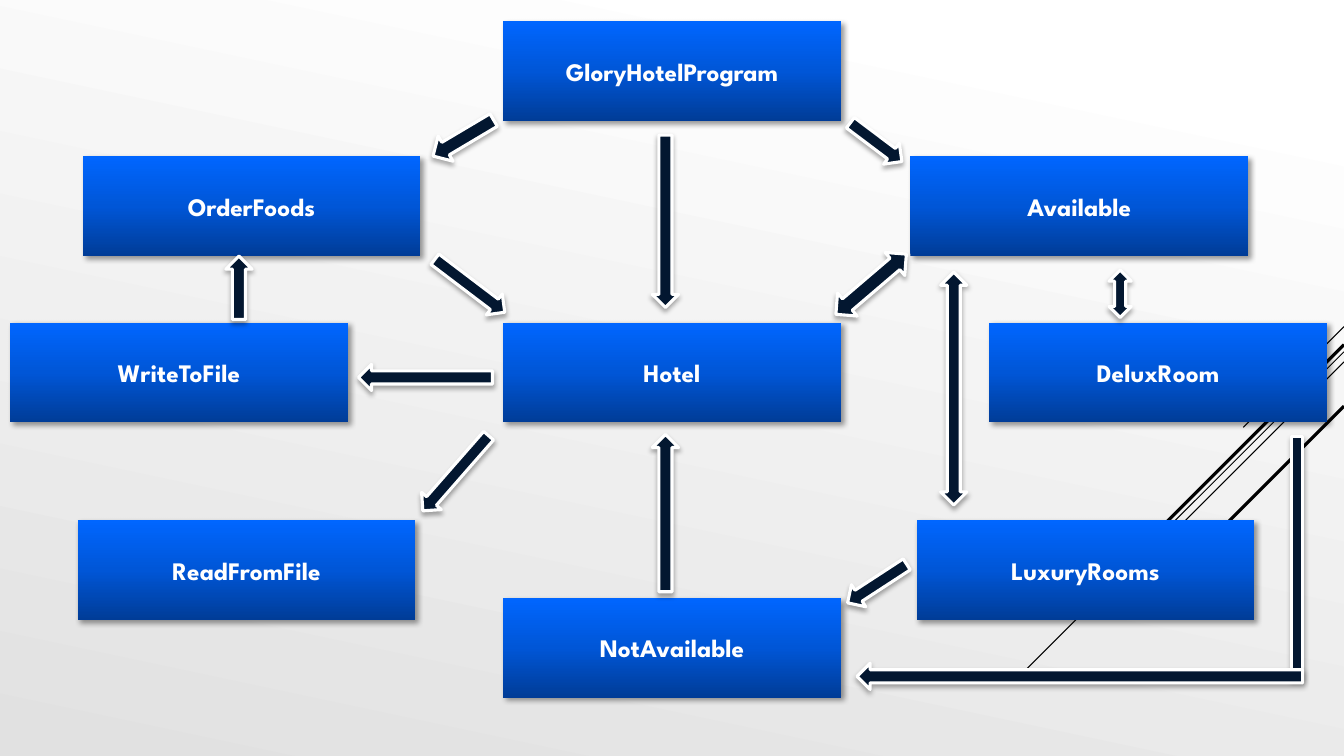
from dataclasses import dataclass

from lxml import etree
from pptx import Presentation
from pptx.dml.color import RGBColor
from pptx.enum.shapes import MSO_CONNECTOR, MSO_SHAPE
from pptx.enum.text import MSO_ANCHOR, PP_ALIGN
from pptx.oxml.ns import qn
from pptx.util import Inches, Pt

RECTANGLE = MSO_SHAPE.RECTANGLE
ONE_WAY = MSO_SHAPE.DOWN_ARROW
TWO_WAY = MSO_SHAPE.UP_DOWN_ARROW
STRAIGHT = MSO_CONNECTOR.STRAIGHT
MIDDLE = MSO_ANCHOR.MIDDLE
CENTER = PP_ALIGN.CENTER

BLACK = RGBColor(0x00, 0x00, 0x00)
WHITE = RGBColor(0xFF, 0xFF, 0xFF)
PALE_GRAY = RGBColor(0xE1, 0xE1, 0xE1)
NAVY = RGBColor(0x03, 0x17, 0x30)
DARK_BLUE = RGBColor(0x00, 0x3C, 0x97)
MEDIUM_BLUE = RGBColor(0x00, 0x56, 0xD7)
BRIGHT_BLUE = RGBColor(0x00, 0x66, 0xFF)

FONT = "League Spartan"
SLIDE_WIDTH = 13.33
BOX_WIDTH, BOX_HEIGHT = 3.35, 0.99


@dataclass(frozen=True)
class Shadow:
    opacity: int
    blur: float
    distance: float
    angle: int


@dataclass(frozen=True)
class ClassBox:
    name: str
    left: float
    top: float


@dataclass(frozen=True)
class Arrow:
    kind: int
    left: float
    top: float
    width: float
    height: float
    rotation: float = 0


@dataclass(frozen=True)
class Diagonal:
    start_y: float
    reach: float
    weight: float


BOX_SHADOW = Shadow(40, 4, 3, 45)
ARROW_SHADOW = Shadow(32, 3.5, 2.2, 90)
BACKGROUND_STOPS = [(10, WHITE), (100, PALE_GRAY)]
BOX_STOPS = [(0, DARK_BLUE), (50, MEDIUM_BLUE), (100, BRIGHT_BLUE)]

DIAGONALS = [
    Diagonal(3.24, 1, 0.75),
    Diagonal(3.49, 3.26, 0.75),
    Diagonal(3.59, 2.07, 0.75),
    Diagonal(3.42, 1.91, 2.25),
    Diagonal(4.03, 1.39, 2.25),
]

RETURN_BAR = Arrow(RECTANGLE, 12.81, 4.33, 0.11, 2.4)

BOXES = [
    ClassBox("GloryHotelProgram", 4.99, 0.21),
    ClassBox("DeluxRoom", 9.81, 3.2),
    ClassBox("NotAvailable", 4.99, 5.93),
    ClassBox("OrderFoods", 0.82, 1.55),
    ClassBox("ReadFromFile", 0.77, 5.16),
    ClassBox("Hotel", 4.99, 3.2),
    ClassBox("WriteToFile", 0.1, 3.2),
    ClassBox("LuxuryRooms", 9.09, 5.16),
    ClassBox("Available", 9.03, 1.55),
]

ARROWS = [
    Arrow(ONE_WAY, 6.47, 1.34, 0.26, 1.71),
    Arrow(ONE_WAY, 4.09, 3.08, 0.26, 1.33, 90),
    Arrow(ONE_WAY, 4.53, 2.4, 0.26, 0.87, 307.2),
    Arrow(ONE_WAY, 8.56, 1.09, 0.26, 0.64, 307),
    Arrow(ONE_WAY, 6.47, 4.31, 0.26, 1.56, 180),
    Arrow(ONE_WAY, 4.39, 4.2, 0.26, 0.99, 41.2),
    Arrow(ONE_WAY, 4.45, 1.02, 0.29, 0.7, 59.3),
    Arrow(ONE_WAY, 8.57, 5.44, 0.26, 0.7, 56.9),
    Arrow(TWO_WAY, 11, 2.68, 0.22, 0.47),
    Arrow(TWO_WAY, 8.49, 2.36, 0.3, 0.92, 49.5),
    Arrow(TWO_WAY, 9.33, 2.7, 0.26, 2.31),
    Arrow(ONE_WAY, 10.58, 4.5, 0.26, 4.42, 90),
    Arrow(ONE_WAY, 2.24, 2.54, 0.26, 0.63, 180),
]


def set_gradient(owner, fill, stops: list[tuple[int, RGBColor]], angle: int) -> None:
    fill.gradient()
    fill.gradient_angle = angle
    stop_list = owner.element.find(".//" + qn("a:gsLst"))
    for stop in list(stop_list):
        stop_list.remove(stop)
    for position, color in stops:
        stop = etree.SubElement(stop_list, qn("a:gs"), pos=str(position * 1000))
        etree.SubElement(stop, qn("a:srgbClr"), val=str(color))


def set_shadow(shape, shadow: Shadow) -> None:
    shape.shadow.inherit = False
    effects = shape.element.spPr.find(qn("a:effectLst"))
    outer = etree.SubElement(
        effects,
        qn("a:outerShdw"),
        blurRad=str(Pt(shadow.blur)),
        dist=str(Pt(shadow.distance)),
        dir=str(shadow.angle * 60000),
        rotWithShape="0",
    )
    color = etree.SubElement(outer, qn("a:srgbClr"), val=str(BLACK))
    etree.SubElement(color, qn("a:alpha"), val=str(shadow.opacity * 1000))


def draw_diagonal(slide, diagonal: Diagonal) -> None:
    connector = slide.shapes.add_connector(
        STRAIGHT,
        Inches(SLIDE_WIDTH),
        Inches(diagonal.start_y),
        Inches(SLIDE_WIDTH - diagonal.reach),
        Inches(diagonal.start_y + diagonal.reach),
    )
    connector.line.color.rgb = BLACK
    connector.line.width = Pt(diagonal.weight)
    etree.SubElement(connector.element.spPr, qn("a:effectLst"))


def draw_box(slide, box: ClassBox) -> None:
    shape = slide.shapes.add_shape(
        RECTANGLE, Inches(box.left), Inches(box.top), Inches(BOX_WIDTH), Inches(BOX_HEIGHT)
    )
    set_gradient(shape, shape.fill, BOX_STOPS, 90)
    shape.line.fill.background()
    set_shadow(shape, BOX_SHADOW)
    shape.text_frame.vertical_anchor = MIDDLE
    paragraph = shape.text_frame.paragraphs[0]
    paragraph.alignment = CENTER
    run = paragraph.add_run()
    run.text = box.name
    run.font.name = FONT
    run.font.size = Pt(18)
    run.font.bold = True
    run.font.color.rgb = WHITE


def draw_arrow(slide, arrow: Arrow) -> None:
    shape = slide.shapes.add_shape(
        arrow.kind, Inches(arrow.left), Inches(arrow.top), Inches(arrow.width), Inches(arrow.height)
    )
    shape.rotation = arrow.rotation
    shape.fill.solid()
    shape.fill.fore_color.rgb = NAVY
    shape.line.color.rgb = WHITE
    shape.line.width = Pt(2.25)
    set_shadow(shape, ARROW_SHADOW)


def main() -> None:
    presentation = Presentation()
    presentation.slide_width = Inches(SLIDE_WIDTH)
    presentation.slide_height = Inches(7.5)
    slide = presentation.slides.add_slide(presentation.slide_layouts[6])
    set_gradient(slide, slide.background.fill, BACKGROUND_STOPS, 258)
    for diagonal in DIAGONALS:
        draw_diagonal(slide, diagonal)
    draw_arrow(slide, RETURN_BAR)
    for box in BOXES:
        draw_box(slide, box)
    for arrow in ARROWS:
        draw_arrow(slide, arrow)
    presentation.save("out.pptx")


if __name__ == "__main__":
    main()
